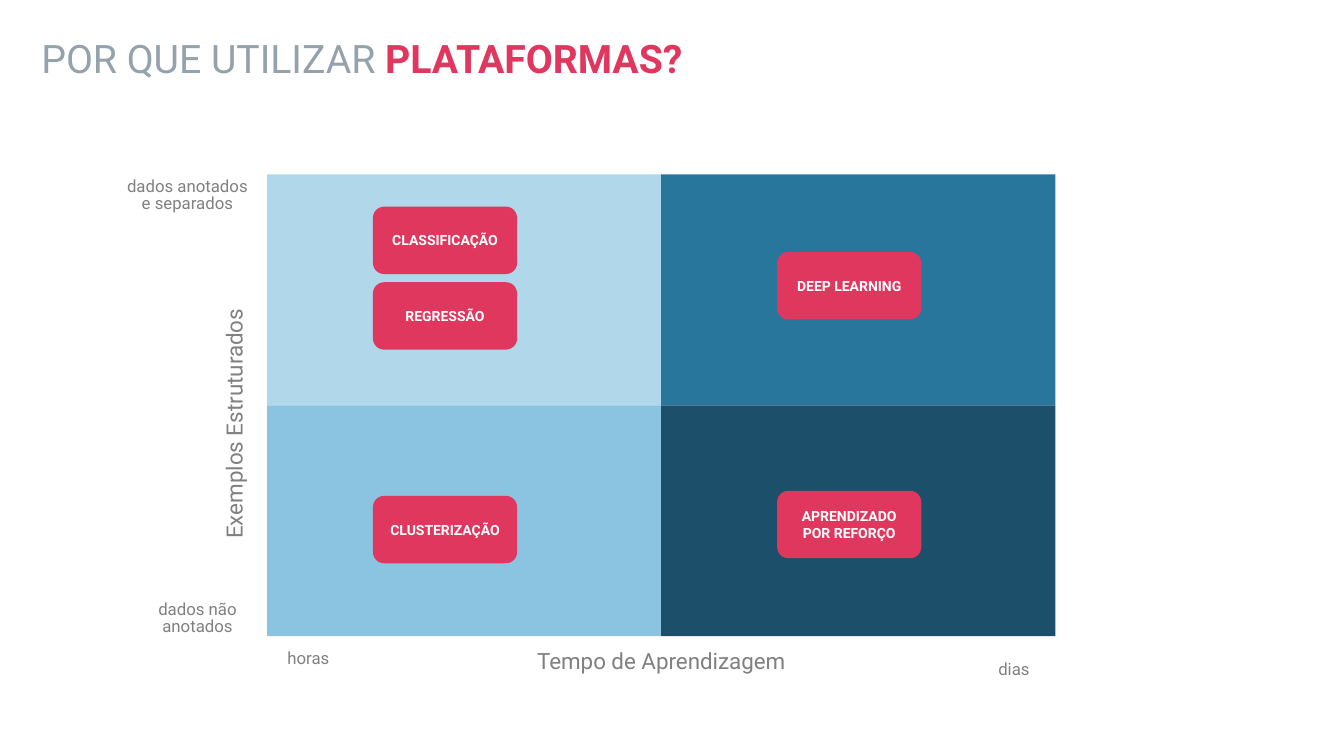
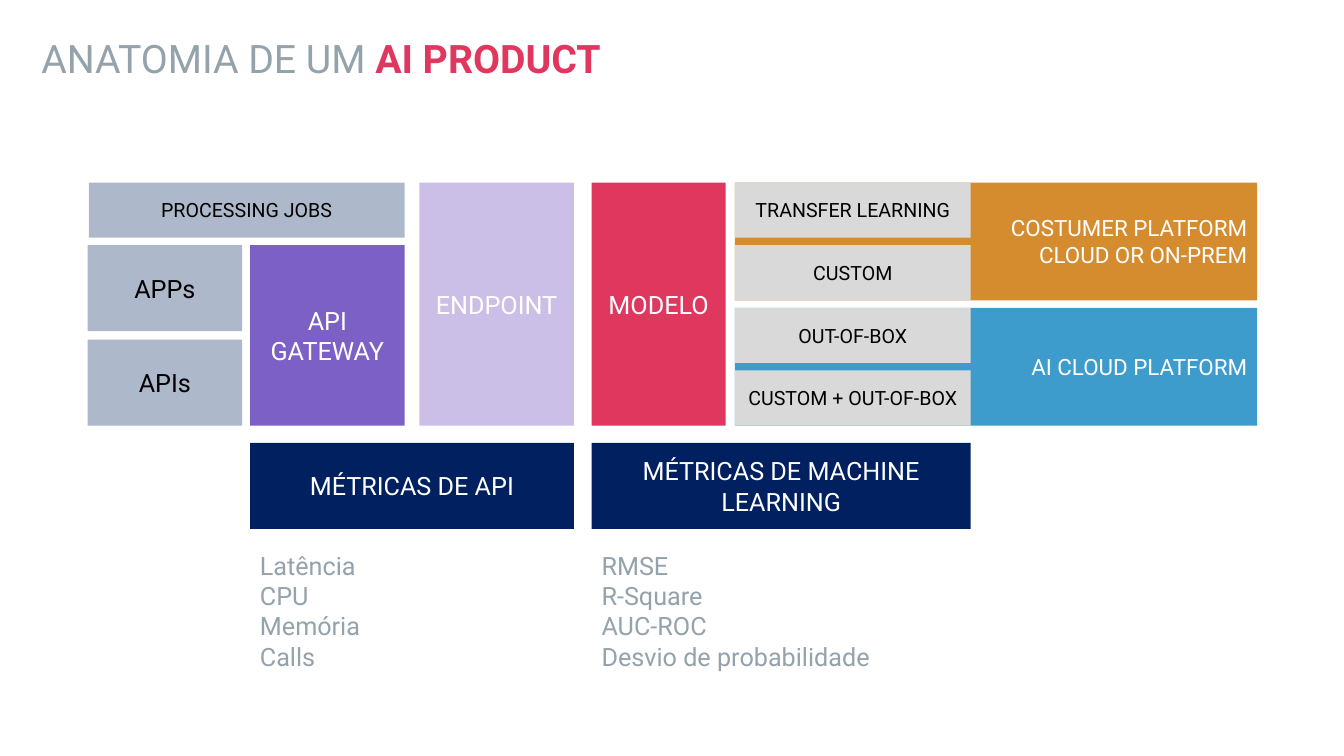
from pptx import Presentation
from pptx.dml.color import RGBColor
from pptx.enum.shapes import MSO_SHAPE
from pptx.enum.text import MSO_ANCHOR, MSO_AUTO_SIZE, PP_ALIGN
from pptx.util import Pt

RECT, ROUNDED = MSO_SHAPE.RECTANGLE, MSO_SHAPE.ROUNDED_RECTANGLE
LEFT, CENTER, RIGHT = PP_ALIGN.LEFT, PP_ALIGN.CENTER, PP_ALIGN.RIGHT
MIDDLE, TOP = MSO_ANCHOR.MIDDLE, MSO_ANCHOR.TOP
NO_FIT = MSO_AUTO_SIZE.NONE

# Shared style
FONT = "Roboto"
WHITE = RGBColor(0xFF, 0xFF, 0xFF)
BLACK = RGBColor(0x00, 0x00, 0x00)
SLATE = RGBColor(0x94, 0xA2, 0xAC)
CRIMSON = RGBColor(0xE0, 0x37, 0x5F)
GRAY = RGBColor(0x80, 0x80, 0x80)
SILVER = RGBColor(0xD9, 0xD9, 0xD9)
STEEL = RGBColor(0xAD, 0xB9, 0xCA)
NAVY = RGBColor(0x00, 0x20, 0x60)
PURPLE = RGBColor(0x7C, 0x60, 0xC6)
LILAC = RGBColor(0xCB, 0xBF, 0xE8)
ORANGE = RGBColor(0xD5, 0x8C, 0x2E)
BLUE = RGBColor(0x3D, 0x9C, 0xCC)
QUADRANT_COLORS = [
    [RGBColor(0xB1, 0xD7, 0xEB), RGBColor(0x29, 0x76, 0x9D)],
    [RGBColor(0x8B, 0xC4, 0xE0), RGBColor(0x1C, 0x4F, 0x69)],
]

# Quadrant content
MATRIX_LEFT, MATRIX_TOP = 190.8, 124.6
QUADRANT_WIDTH, QUADRANT_HEIGHT = 281.5, 164.9
METHOD_WIDTH, METHOD_HEIGHT = 103, 48.2
FAST, SLOW = 266.4, 555.1
METHODS = [  # text, left, top
    ("CLASSIFICAÇÃO", FAST, 147.6),
    ("REGRESSÃO", FAST, 201.6),
    ("CLUSTERIZAÇÃO", FAST, 354.2),
    ("DEEP LEARNING", SLOW, 180),
    ("APRENDIZADO POR REFORÇO", SLOW, 350.6),
]
AXIS_LABELS = [  # text, left, top, width, height, size, rotation
    ("dados anotados e separados", 90.7, 124.6, 86.4, 40.3, 12, 0),
    ("dados não anotados", 97.9, 427, 86.4, 27.4, 12, 0),
    ("horas", 177.1, 462.2, 86.4, 15.1, 12, 0),
    ("dias", 681.1, 470.2, 86.4, 15.1, 12, 0),
    ("Exemplos Estruturados", 71.3, 293, 191.5, 19.4, 16, 270),
    ("Tempo de Aprendizagem", 376.6, 462.2, 191.5, 19.4, 16, 0),
]

# Architecture content
STACK_TOP, STACK_BOTTOM = 130.4, 304
STACK_HEIGHT = STACK_BOTTOM - STACK_TOP
APPS_X, GATEWAY_X, ENDPOINT_X, MODEL_X, OPTION_X = 62.6, 178.6, 299.5, 422.6, 525
BLOCK_WIDTH, MODEL_WIDTH, OPTION_WIDTH, PLATFORM_WIDTH = 110.4, 95.8, 168.4, 373
OPTION_HEIGHT = 39.4
OPTION_STEP = (STACK_HEIGHT - OPTION_HEIGHT) / 3
PLATFORM_HEIGHT = OPTION_STEP + OPTION_HEIGHT
SECOND_ROW = STACK_TOP + OPTION_STEP
APP_HEIGHT = 61.4
METRIC_TOP, METRIC_LIST_TOP, METRIC_LIST_HEIGHT = 316.4, 389.5, 94.4
PLATFORMS = [
    (["COSTUMER PLATFORM", "CLOUD OR ON-PREM"], ORANGE),
    (["AI CLOUD PLATFORM"], BLUE),
]
OPTIONS = ["TRANSFER LEARNING", "CUSTOM", "OUT-OF-BOX", "CUSTOM + OUT-OF-BOX"]
BLOCKS = [  # text, left, top, width, height, fill, text colour, size
    ("PROCESSING JOBS", 63.4, STACK_TOP, 225.6, OPTION_HEIGHT, STEEL, BLACK, 14),
    ("APPs", APPS_X, SECOND_ROW, BLOCK_WIDTH, APP_HEIGHT, STEEL, BLACK, 18),
    ("APIs", APPS_X, STACK_BOTTOM - APP_HEIGHT, BLOCK_WIDTH, APP_HEIGHT, STEEL, BLACK, 18),
    ("API GATEWAY", GATEWAY_X, SECOND_ROW, BLOCK_WIDTH,
     STACK_BOTTOM - SECOND_ROW, PURPLE, WHITE, 18),
    ("ENDPOINT", ENDPOINT_X, STACK_TOP, BLOCK_WIDTH, STACK_HEIGHT, LILAC, WHITE, 18),
    ("MODELO", MODEL_X, STACK_TOP, MODEL_WIDTH, STACK_HEIGHT, CRIMSON, WHITE, 18),
]
METRICS = [  # heading, left, right, items
    ("MÉTRICAS DE API", GATEWAY_X, ENDPOINT_X + BLOCK_WIDTH,
     ["Latência", "CPU", "Memória", "Calls"]),
    ("MÉTRICAS DE MACHINE LEARNING", MODEL_X, OPTION_X + OPTION_WIDTH,
     ["RMSE", "R-Square", "AUC-ROC", "Desvio de probabilidade"]),
]


def add_span(para, text, size, color, bold=False):
    span = para.add_run()
    span.text = text
    font = span.font
    font.name, font.size, font.bold = FONT, Pt(size), bold
    font.color.rgb = color


def fill_text(frame, lines, size, color, align, bold=False):
    frame.word_wrap = True
    for index, line in enumerate(lines):
        para = frame.add_paragraph() if index else frame.paragraphs[0]
        para.alignment = align
        add_span(para, line, size, color, bold)


def add_block(slide, bounds, fill, lines=(), size=18, color=WHITE,
              align=CENTER, bold=False, kind=RECT):
    box = slide.shapes.add_shape(kind, *map(Pt, bounds))
    box.shadow.inherit = False
    box.fill.solid()
    box.fill.fore_color.rgb = fill
    box.line.fill.background()
    box.text_frame.vertical_anchor = MIDDLE
    fill_text(box.text_frame, lines, size, color, align, bold)


def add_label(slide, bounds, lines, size, color, align):
    box = slide.shapes.add_textbox(*map(Pt, bounds))
    box.text_frame.vertical_anchor = TOP
    fill_text(box.text_frame, lines, size, color, align)
    return box


def add_titled_slide(deck, plain, strong):
    slide = deck.slides.add_slide(deck.slide_layouts[5])
    title = slide.shapes.title
    title.left, title.top, title.width, title.height = map(Pt, (22.3, 20.9, 828, 45.4))
    frame = title.text_frame
    frame.auto_size = NO_FIT
    frame.vertical_anchor = MIDDLE
    para = frame.paragraphs[0]
    para.alignment = LEFT
    para.line_spacing = 0.9
    add_span(para, plain, 28, SLATE)
    add_span(para, strong, 28, CRIMSON, True)
    return slide


def build_matrix(deck):
    slide = add_titled_slide(deck, "POR QUE UTILIZAR ", "PLATAFORMAS?")

    # Quadrants
    for row, colors in enumerate(QUADRANT_COLORS):
        for column, color in enumerate(colors):
            add_block(slide, (MATRIX_LEFT + column * QUADRANT_WIDTH,
                              MATRIX_TOP + row * QUADRANT_HEIGHT,
                              QUADRANT_WIDTH, QUADRANT_HEIGHT), color)

    # Axis labels
    for text, left, top, width, height, size, rotation in AXIS_LABELS:
        box = add_label(slide, (left, top, width, height), [text], size, GRAY, CENTER)
        box.rotation = rotation
        frame = box.text_frame
        frame.margin_left = frame.margin_right = frame.margin_bottom = 0
        frame.margin_top = Pt(2.9)
        frame.paragraphs[0].line_spacing = 0.85
        frame.paragraphs[0].space_after = Pt(6)

    # Learning methods
    for text, left, top in METHODS:
        add_block(slide, (left, top, METHOD_WIDTH, METHOD_HEIGHT), CRIMSON,
                  [text], 10, bold=True, kind=ROUNDED)


def build_anatomy(deck):
    slide = add_titled_slide(deck, "ANATOMIA DE UM ", "AI PRODUCT")

    # Platforms behind the model options
    for index, (lines, color) in enumerate(PLATFORMS):
        top = STACK_TOP + 2 * index * OPTION_STEP
        add_block(slide, (OPTION_X, top, PLATFORM_WIDTH, PLATFORM_HEIGHT),
                  color, lines, 16, align=RIGHT)
    for index, text in enumerate(OPTIONS):
        top = STACK_TOP + index * OPTION_STEP
        add_block(slide, (OPTION_X, top, OPTION_WIDTH, OPTION_HEIGHT),
                  SILVER, [text], 14, BLACK)

    # Processing chain
    for text, left, top, width, height, fill, color, size in BLOCKS:
        add_block(slide, (left, top, width, height), fill, [text], size, color)

    # Metrics
    for heading, left, right, items in METRICS:
        width = right - left
        add_block(slide, (left, METRIC_TOP, width, APP_HEIGHT), NAVY, [heading])
        add_label(slide, (left, METRIC_LIST_TOP, width, METRIC_LIST_HEIGHT),
                  items, 18, SLATE, LEFT)


def main():
    deck = Presentation()
    deck.slide_width, deck.slide_height = Pt(960), Pt(540)
    build_matrix(deck)
    build_anatomy(deck)
    deck.save("out.pptx")


if __name__ == "__main__":
    main()
